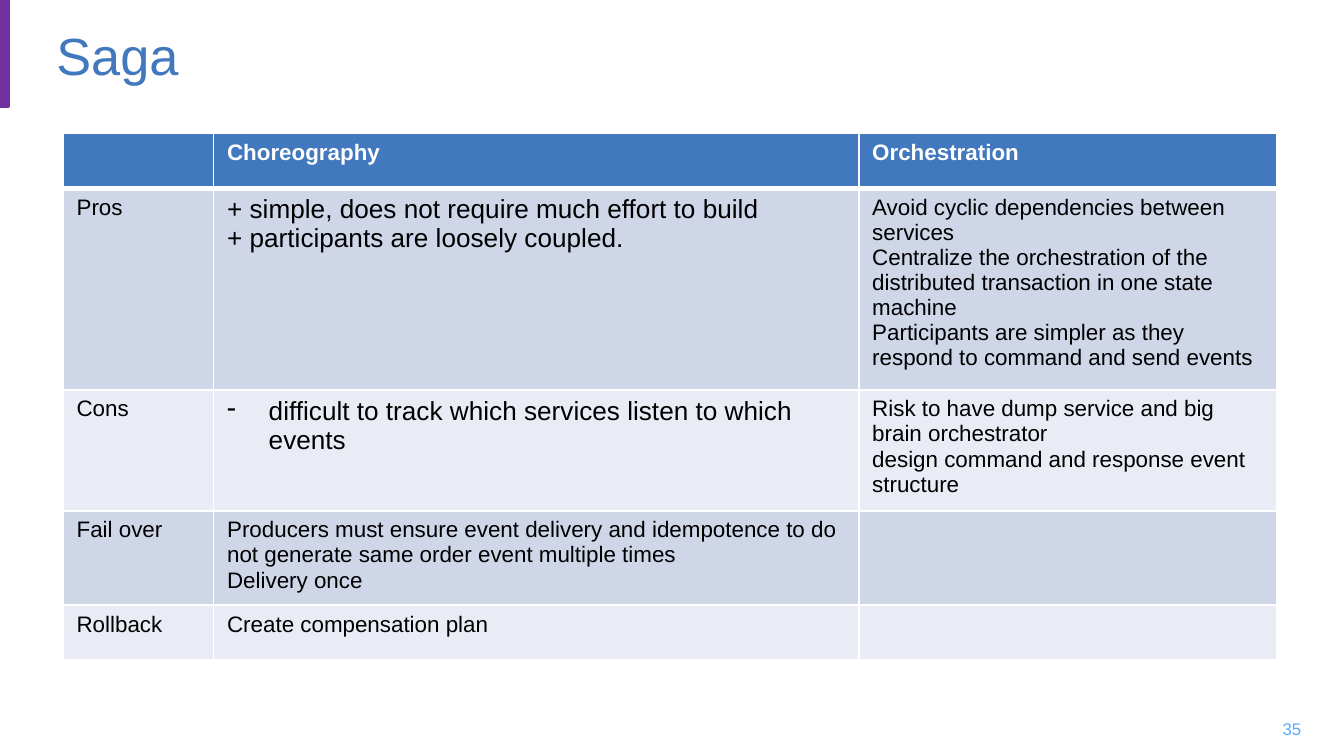
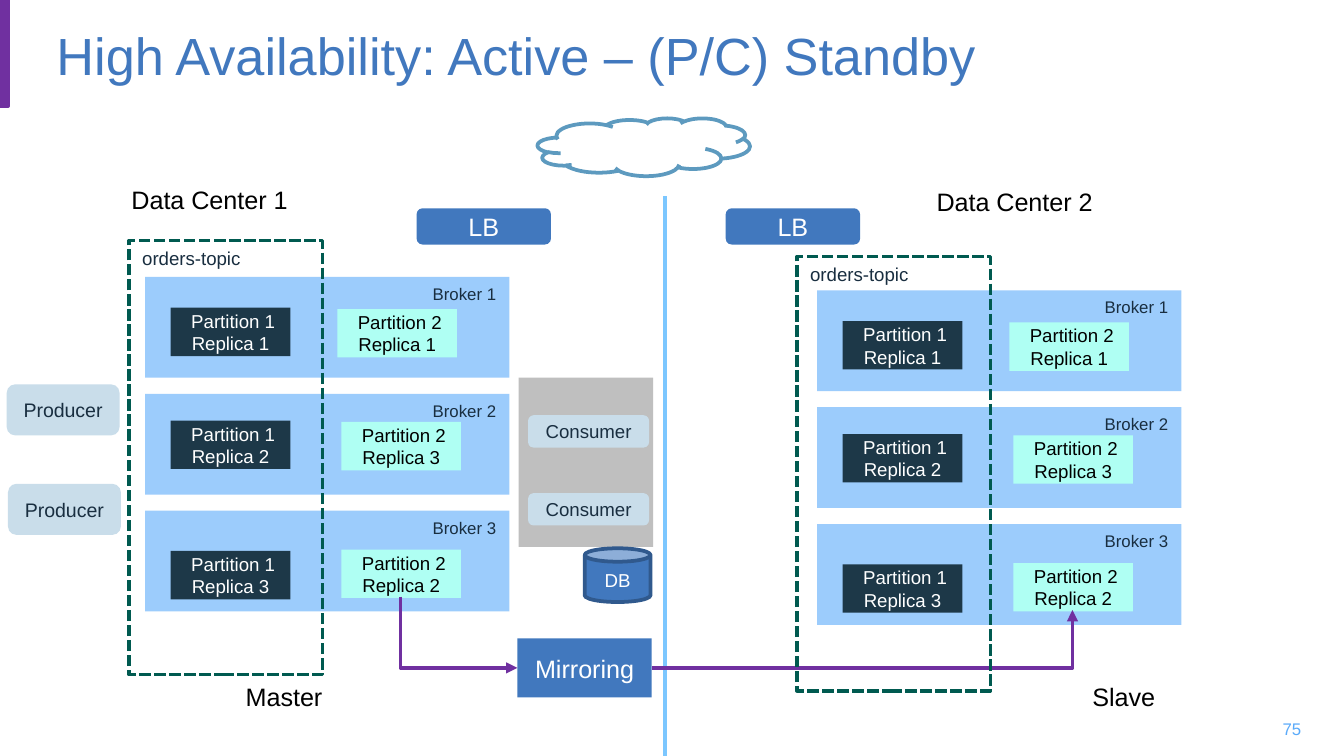
from lxml import etree
from pptx import Presentation
from pptx import util as u
from pptx.dml.color import RGBColor
from pptx.enum import dml, shapes, text
from pptx.oxml import ns

FONT = "Arial"
COLS, ROWS = 100, 56.25
COLORS = {
    "purple": "7030A0", "blue": "4178BE", "page": "5AAAFA", "white": "FFFFFF",
    "black": "000000", "ink": "192E40", "broker": "9CCCFC", "mint": "AFFFF3",
    "navy": "1D3848", "pale": "C9DDEA", "gray": "BFBFBF", "cloud": "5D9ABF",
    "divider": "7CC7FF", "can": "30598D", "topic": "005A50",
    "odd": "CFD6E8", "even": "E9ECF4",
}
KIND = shapes.MSO_SHAPE
LEFT, CENTER, RIGHT = text.PP_ALIGN.LEFT, text.PP_ALIGN.CENTER, text.PP_ALIGN.RIGHT
TOP, MIDDLE = text.MSO_ANCHOR.TOP, text.MSO_ANCHOR.MIDDLE

SAGA_ROWS = [
    ([], ["Choreography"], ["Orchestration"]),
    (["Pros"],
     ["+ simple, does not require much effort to build",
      "+ participants are loosely coupled."],
     ["Avoid cyclic dependencies between services",
      "Centralize the orchestration of the distributed transaction in one state machine",
      "Participants are simpler as they respond to command and send events"]),
    (["Cons"],
     ["difficult to track which services listen to which events"],
     ["Risk to have dump service and big brain orchestrator",
      "design command and response event structure"]),
    (["Fail over"],
     ["Producers must ensure event delivery and idempotence to do not generate "
      "same order event multiple times", "Delivery once"],
     []),
    (["Rollback"], ["Create compensation plan"], []),
]

PARTITIONS = [
    (1.9, 2.3, 1, 1), (1.9, 10.7, 1, 2), (1.9, 20.4, 1, 3),
    (14.3, 2.4, 2, 1), (14.6, 10.8, 2, 3), (14.6, 20.3, 2, 2),
]


def cells(n):
    return u.Inches(n / 10)


def box(*at):
    return [cells(n) for n in at]


def rgb(name):
    return RGBColor.from_string(COLORS[name])


def child(parent, tag, **attrs):
    e = etree.SubElement(parent, ns.qn(tag))
    for key, value in attrs.items():
        e.set(key, str(value))
    return e


def write(p, words, size, color, align=LEFT, bold=False):
    p.alignment = align
    r = p.add_run()
    r.text = words
    r.font.name, r.font.size, r.font.bold = FONT, u.Pt(size), bold
    r.font.color.rgb = rgb(color)


def add_box(s, kind, at, fill=None, line=None, dash=None, words="", size=10,
            color="ink", align=CENTER, anchor=MIDDLE):
    sp = s.shapes.add_shape(kind, *box(*at))
    sp.shadow.inherit = False
    if fill:
        sp.fill.solid()
        sp.fill.fore_color.rgb = rgb(fill)
    else:
        sp.fill.background()
    if line:
        sp.line.color.rgb = rgb(line)
        sp.line.width = u.Pt(2)
        sp.line.dash_style = dash
    else:
        sp.line.fill.background()
    tf = sp.text_frame
    tf.word_wrap, tf.vertical_anchor = True, anchor
    if words:
        write(tf.paragraphs[0], words, size, color, align)


def add_label(s, at, words, size=13.5, color="black", align=LEFT, anchor=TOP, wrap=False):
    tf = s.shapes.add_textbox(*box(*at)).text_frame
    tf.word_wrap, tf.vertical_anchor = wrap, anchor
    write(tf.paragraphs[0], words, size, color, align)


def add_line(s, start, end, color, kind=shapes.MSO_CONNECTOR.STRAIGHT):
    c = s.shapes.add_connector(kind, *box(*start, *end))
    c.line.color.rgb = rgb(color)
    c.line.width = u.Pt(2)
    child(c.element.spPr, "a:effectLst")
    return c


def add_bent_arrow(s, start, end, down_first=False):
    (x1, y1), (x2, y2) = start, end
    if down_first:
        mx, my = (x1 + x2) / 2, (y1 + y2) / 2
        half_w, half_h = (y2 - y1) / 2, (x2 - x1) / 2
        start, end = (mx + half_w, my - half_h), (mx - half_w, my + half_h)
    c = add_line(s, start, end, "purple", shapes.MSO_CONNECTOR.ELBOW)
    spPr = c.element.spPr
    spPr.find(ns.qn("a:prstGeom")).set("prst", "bentConnector2")
    if down_first:
        spPr.find(ns.qn("a:xfrm")).set("rot", str(270 * 60000))
    child(spPr.find(ns.qn("a:ln")), "a:tailEnd", type="triangle")


def add_slide(prs, title, number):
    s = prs.slides.add_slide(prs.slide_layouts[5])
    add_box(s, KIND.RECTANGLE, (0, 0, 0.6, 7.9), "purple", "purple")
    sp = s.shapes.title
    sp.left, sp.top, sp.width, sp.height = box(3.2, 0.5, 91.8, 7.2)
    tf = sp.text_frame
    tf.auto_size, tf.vertical_anchor = text.MSO_AUTO_SIZE.NONE, MIDDLE
    write(tf.paragraphs[0], title, 28, "blue")
    add_label(s, (93.4, 52.7, 4.4, 3), number, 9, "page", RIGHT, MIDDLE, True)
    return s


def style_cell(cell, fill, bottom):
    tcPr = cell._tc.get_or_add_tcPr()
    for side, width in (("L", 1), ("R", 1), ("T", 1), ("B", bottom)):
        ln = child(tcPr, f"a:ln{side}", w=u.Pt(width))
        child(child(ln, "a:solidFill"), "a:srgbClr", val=COLORS["white"])
    cell.fill.solid()
    cell.fill.fore_color.rgb = rgb(fill)


def add_dash_bullet(p):
    pPr = p._p.get_or_add_pPr()
    pPr.set("marL", str(u.Inches(0.31)))
    pPr.set("indent", str(-u.Inches(0.31)))
    child(pPr, "a:buChar", char="-")


def add_comparison(s, rows, widths, row_height):
    frame = s.shapes.add_table(len(rows), len(widths),
                               *box(4.7, 9.9, sum(widths), row_height * len(rows)))
    table = frame.table
    for column, width in zip(table.columns, widths):
        column.width = cells(width)
    for i, row in enumerate(rows):
        header = i == 0
        fill = "blue" if header else "odd" if i % 2 else "even"
        for j, lines in enumerate(row):
            cell = table.cell(i, j)
            style_cell(cell, fill, 3 if header else 1)
            large = j == 1 and i in (1, 2)
            tf = cell.text_frame
            for k, words in enumerate(lines):
                p = tf.add_paragraph() if k else tf.paragraphs[0]
                if large and row[0] == ["Cons"]:
                    add_dash_bullet(p)
                write(p, words, 14 if large else 12,
                      "white" if header else "black", bold=header)


def add_brokers(s, x, y):
    for i in range(3):
        add_box(s, KIND.RECTANGLE, (x, y + 8.7 * i, 27.1, 7.5), "broker",
                words=f"Broker {i + 1}", size=9, align=RIGHT, anchor=TOP)
    for dx, dy, partition, replica in PARTITIONS:
        fill, color = ("navy", "white") if partition == 1 else ("mint", "black")
        add_box(s, KIND.RECTANGLE, (x + dx, y + dy, 8.9, 3.6), fill,
                words=f" Partition {partition} Replica {replica}", color=color)


def add_topic(s, x, y):
    add_box(s, KIND.RECTANGLE, (x, y, 14.4, 32.3), line="topic",
            dash=dml.MSO_LINE.SQUARE_DOT, words="orders-topic", align=LEFT, anchor=TOP)
    

def saga_slide(prs):
    s = add_slide(prs, "Saga", "35")
    add_comparison(s, SAGA_ROWS, (11.2, 48, 31.1), 4.1)


def availability_slide(prs):
    s = add_slide(prs, "High Availability: Active – (P/C) Standby", "75")
    add_brokers(s, 10.8, 20.6)
    add_brokers(s, 60.8, 21.6)
    add_box(s, KIND.CLOUD, (40, 8.8, 15.8, 4.3), line="cloud")
    for x in (31, 54):
        add_box(s, KIND.ROUNDED_RECTANGLE, (x, 15.5, 10, 2.7), "blue",
                words="LB", size=13.5, color="white")
    for x, y in ((0.5, 28.6), (0.6, 36)):
        add_box(s, KIND.ROUNDED_RECTANGLE, (x, y, 8.4, 3.8), "pale",
                words="Producer", size=10.5)
    add_box(s, KIND.RECTANGLE, (38.6, 28.1, 10, 12.6), "gray")
    for y in (30.9, 36.7):
        add_box(s, KIND.ROUNDED_RECTANGLE, (39.3, y, 9, 2.4), "pale", words="Consumer")
    add_line(s, (49.5, 14.6), (49.5, ROWS), "divider")
    add_box(s, KIND.RECTANGLE, (38.5, 47.5, 10, 4.4), "blue",
            words="Mirroring", size=13.5, color="white")
    add_bent_arrow(s, (29.8, 44.4), (38.5, 49.7), down_first=True)
    add_bent_arrow(s, (48.5, 49.7), (79.8, 45.4))
    for x, y, width, words in ((8.8, 13.2, 13.8, "Data Center 1"),
                               (68.7, 13.4, 13.8, "Data Center 2"),
                               (17.3, 50.2, 7.8, "Master"),
                               (80.3, 50.2, 6.8, "Slave")):
        add_label(s, (x, y, width, 3.3), words)
    add_box(s, KIND.CAN, (43.5, 40.8, 4.9, 4), "blue", "can",
            words="DB", color="white", anchor=TOP)
    add_topic(s, 59.3, 19.1)
    add_topic(s, 9.6, 17.9)


def main():
    prs = Presentation()
    prs.slide_width, prs.slide_height = box(COLS, ROWS)
    saga_slide(prs)
    availability_slide(prs)
    prs.save("out.pptx")


if __name__ == "__main__":
    main()
